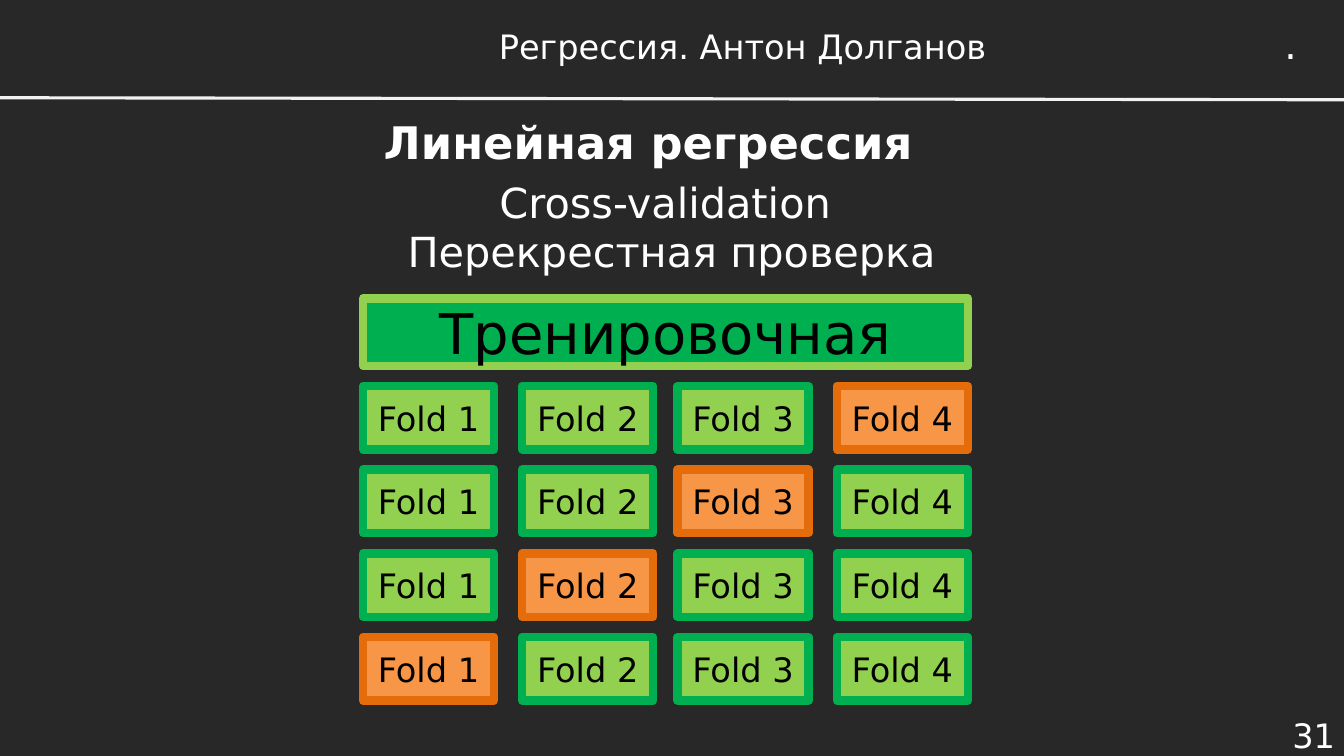
from lxml import etree
from pptx import Presentation
from pptx.dml.color import RGBColor
from pptx.enum.shapes import MSO_CONNECTOR, MSO_SHAPE
from pptx.enum.text import MSO_ANCHOR, PP_ALIGN
from pptx.oxml.ns import qn
from pptx.util import Inches, Pt

LEFT, CENTER, RIGHT = PP_ALIGN.LEFT, PP_ALIGN.CENTER, PP_ALIGN.RIGHT
TOP, MIDDLE = MSO_ANCHOR.TOP, MSO_ANCHOR.MIDDLE
RECTANGLE, STRAIGHT = MSO_SHAPE.RECTANGLE, MSO_CONNECTOR.STRAIGHT

FONT = "DejaVu Sans"
COLORS = {
    "background": "272827",
    "white": "FFFFFF",
    "black": "000000",
    "rule": "F2F2F2",
    "green": "00B050",
    "lime": "92D050",
    "orange": "F79646",
    "rust": "E46C0A",
}

LABELS = [
    ("31", (12.29, 7.08, 1.05, 0.42), 24, False, RIGHT, MIDDLE, True),
    ("Регрессия. Антон Долганов", (3.44, 0.19, 7.85, 0.53), 24, False, CENTER, MIDDLE, True),
    (".", (12.64, 0.15, 0.34, 0.57), 28, False, LEFT, TOP, False),
    ("Линейная регрессия", (2.1, 0.95, 8.66, 0.91), 32, True, CENTER, MIDDLE, True),
    ("Cross-validation \nПерекрестная проверка", (1.57, 1.79, 10.19, 0.91), 29.6, False, CENTER, MIDDLE, True),
]

TRAINING = "Тренировочная"
TRAINING_AREA = (3.6, 2.96, 6, 0.67)
FOLDS = ("Fold 1", "Fold 2", "Fold 3", "Fold 4")
FOLD_LEFTS = (3.6, 5.18, 6.72, 8.3)
FOLD_SIZE = (1.3, 0.63)
FIRST_ROW, ROW_STEP = 3.83, 0.83


def color(name):
    return RGBColor.from_string(COLORS[name])


def write(shape, text, size, ink, bold=False, align=CENTER, anchor=MIDDLE, wrap=True):
    frame = shape.text_frame
    frame.text = text
    frame.word_wrap = wrap
    frame.vertical_anchor = anchor
    for paragraph in frame.paragraphs:
        paragraph.alignment = align
        for span in paragraph.runs:
            span.font.name = FONT
            span.font.size = Pt(size)
            span.font.bold = bold
            span.font.color.rgb = color(ink)


def add_block(page, text, area, size, fill, border):
    block = page.shapes.add_shape(RECTANGLE, *map(Inches, area))
    block.shadow.inherit = False
    block.fill.solid()
    block.fill.fore_color.rgb = color(fill)
    block.line.color.rgb = color(border)
    block.line.width = Pt(6)
    write(block, text, size, "black")


def add_header_rule(page):
    ends = map(Inches, (0, 0.97, 13.33, 0.99))
    rule = page.shapes.add_connector(STRAIGHT, *ends)
    rule.line.color.rgb = color("rule")
    rule.line.width = Pt(2.25)
    etree.SubElement(rule._element.spPr, qn("a:effectLst"))


def main():
    deck = Presentation()
    deck.slide_width, deck.slide_height = Inches(13.33), Inches(7.5)
    page = deck.slides.add_slide(deck.slide_layouts[6])
    page.background.fill.solid()
    page.background.fill.fore_color.rgb = color("background")

    add_header_rule(page)
    for text, area, size, bold, align, anchor, wrap in LABELS:
        box = page.shapes.add_textbox(*map(Inches, area))
        write(box, text, size, "white", bold, align, anchor, wrap)

    add_block(page, TRAINING, TRAINING_AREA, 40, "green", "lime")
    for row in range(len(FOLDS)):
        held_out = len(FOLDS) - 1 - row
        top = FIRST_ROW + row * ROW_STEP
        for column, (fold, left) in enumerate(zip(FOLDS, FOLD_LEFTS)):
            fill, border = ("orange", "rust") if column == held_out else ("lime", "green")
            add_block(page, fold, (left, top, *FOLD_SIZE), 24, fill, border)

    deck.save("out.pptx")


if __name__ == "__main__":
    main()
